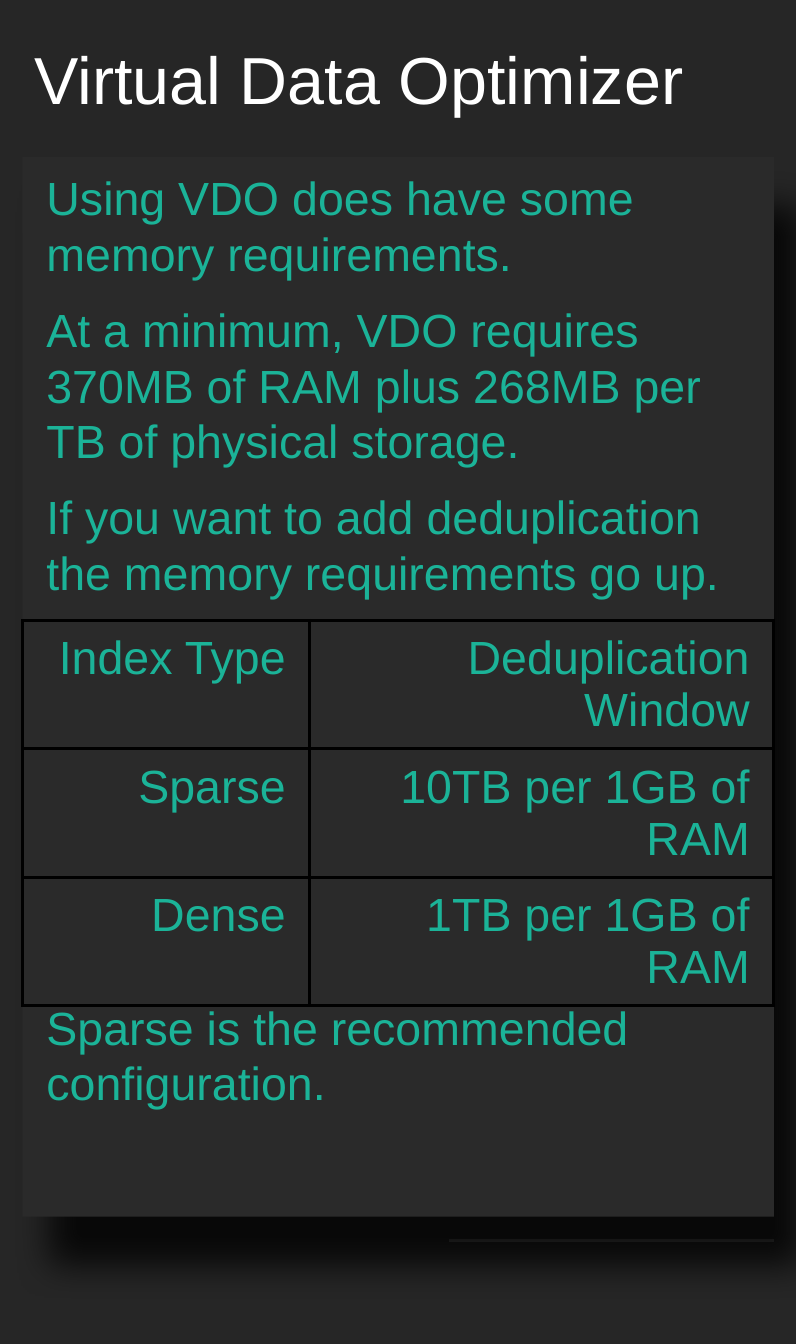
from dataclasses import dataclass

from lxml import etree
from pptx import Presentation
from pptx import util as u
from pptx.dml.color import RGBColor
from pptx.enum import shapes, text
from pptx.oxml import parse_xml
from pptx.oxml.ns import nsdecls, qn


@dataclass(frozen=True)
class Theme:
    font: str = "Arial"
    background: str = "262626"
    panel: str = "2A2A2A"
    heading: str = "FFFFFF"
    accent: str = "1BB398"
    rule: str = "595959"
    border: str = "000000"
    title_size: float = 20
    body_size: float = 14


THEME = Theme()
SLIDE_W, SLIDE_H = u.Inches(3.33), u.Inches(5.62)

# Shares of the slide's width and height, in percent
LEFT, WIDTH = 2.82, 94.4
TABLE_TOP, ROW_HEIGHT = 46.15, 9.56
COLUMN_WIDTHS = (36.1, WIDTH - 36.1)

REQUIREMENTS = (
    "Using VDO does have some memory requirements.",
    "At a minimum, VDO requires 370MB of RAM plus 268MB per TB of physical storage.",
    "If you want to add deduplication the memory requirements go up.",
)
RECOMMENDATION = "Sparse is the recommended configuration."
INDEX_TYPES = (
    ("Index Type", "Deduplication Window"),
    ("Sparse", "10TB per 1GB of RAM"),
    ("Dense", "1TB per 1GB of RAM"),
)


def across(share):
    return u.Emu(round(SLIDE_W * share / 100))


def down(share):
    return u.Emu(round(SLIDE_H * share / 100))


def place(shape, top, height):
    shape.left, shape.top = across(LEFT), down(top)
    shape.width, shape.height = across(WIDTH), down(height)


def write(paragraph, wording, size=THEME.body_size, color=THEME.accent,
          align=text.PP_ALIGN.LEFT, before=0, after=0):
    paragraph.alignment = align
    paragraph.line_spacing = 1.0
    paragraph.space_before, paragraph.space_after = u.Pt(before), u.Pt(after)
    run = paragraph.add_run()
    run.text = wording
    run.font.name, run.font.size = THEME.font, u.Pt(size)
    run.font.color.rgb = RGBColor.from_string(color)


def remove_bullet(paragraph):
    properties = paragraph._p.get_or_add_pPr()
    properties.set("marL", "0")
    properties.set("indent", "0")
    etree.SubElement(properties, qn("a:buNone"))


def add_panel_shadow(panel):
    panel._element.spPr.append(parse_xml(
        f'<a:effectLst {nsdecls("a")}><a:outerShdw blurRad="{u.Pt(11)}" '
        f'dist="{u.Pt(17)}" dir="{61 * 60000}" algn="tl" rotWithShape="0">'
        '<a:srgbClr val="000000"><a:alpha val="79000"/></a:srgbClr>'
        '</a:outerShdw></a:effectLst>'))


def add_rule(slide):
    """Draw the footer line behind everything else."""
    height = down(92.3)
    rule = slide.shapes.add_connector(
        shapes.MSO_CONNECTOR.STRAIGHT, across(56.46), height,
        across(LEFT + WIDTH), height)
    rule.line.color.rgb = RGBColor.from_string(THEME.rule)
    rule.line.width = u.Pt(0.75)
    etree.SubElement(rule._element.spPr, qn("a:effectLst"))
    slide.shapes._spTree.insert(2, rule._element)


def fill_title(title):
    place(title, 1.53, 8.54)
    frame = title.text_frame
    frame.auto_size = text.MSO_AUTO_SIZE.NONE
    frame.vertical_anchor = text.MSO_ANCHOR.MIDDLE
    frame.margin_left = frame.margin_right = u.Inches(0.05)
    frame.margin_top = frame.margin_bottom = u.Inches(0.05)
    write(frame.paragraphs[0], "Virtual Data Optimizer",
          size=THEME.title_size, color=THEME.heading)


def fill_body(panel):
    place(panel, 11.7, 78.83)
    panel.fill.solid()
    panel.fill.fore_color.rgb = RGBColor.from_string(THEME.panel)
    add_panel_shadow(panel)
    frame = panel.text_frame
    frame.auto_size = text.MSO_AUTO_SIZE.NONE
    frame.vertical_anchor = text.MSO_ANCHOR.TOP
    for index, wording in enumerate((*REQUIREMENTS, RECOMMENDATION)):
        paragraph = frame.add_paragraph() if index else frame.paragraphs[0]
        table_gap = 114 if wording == RECOMMENDATION else 0
        write(paragraph, wording, before=table_gap, after=6)
        remove_bullet(paragraph)


def outline(cell):
    properties = cell._tc.get_or_add_tcPr()
    for position, side in enumerate(("lnL", "lnR", "lnT", "lnB")):
        properties.insert(position, parse_xml(
            f'<a:{side} {nsdecls("a")} w="{u.Pt(1)}"><a:solidFill>'
            f'<a:srgbClr val="{THEME.border}"/></a:solidFill></a:{side}>'))


def add_index_table(slide):
    table = slide.shapes.add_table(
        len(INDEX_TYPES), len(COLUMN_WIDTHS), across(LEFT), down(TABLE_TOP),
        across(WIDTH), down(ROW_HEIGHT * len(INDEX_TYPES))).table
    table.first_row = table.horz_banding = False
    for column, share in zip(table.columns, COLUMN_WIDTHS):
        column.width = across(share)
    for row, wordings in zip(table.rows, INDEX_TYPES):
        for cell, wording in zip(row.cells, wordings):
            cell.fill.background()
            outline(cell)
            write(cell.text_frame.paragraphs[0], wording,
                  align=text.PP_ALIGN.RIGHT)


def main():
    deck = Presentation()
    deck.slide_width, deck.slide_height = SLIDE_W, SLIDE_H
    slide = deck.slides.add_slide(deck.slide_layouts[1])
    slide.background.fill.solid()
    slide.background.fill.fore_color.rgb = RGBColor.from_string(THEME.background)
    fill_title(slide.shapes.title)
    fill_body(slide.placeholders[1])
    add_index_table(slide)
    add_rule(slide)
    deck.save("out.pptx")


if __name__ == "__main__":
    main()
